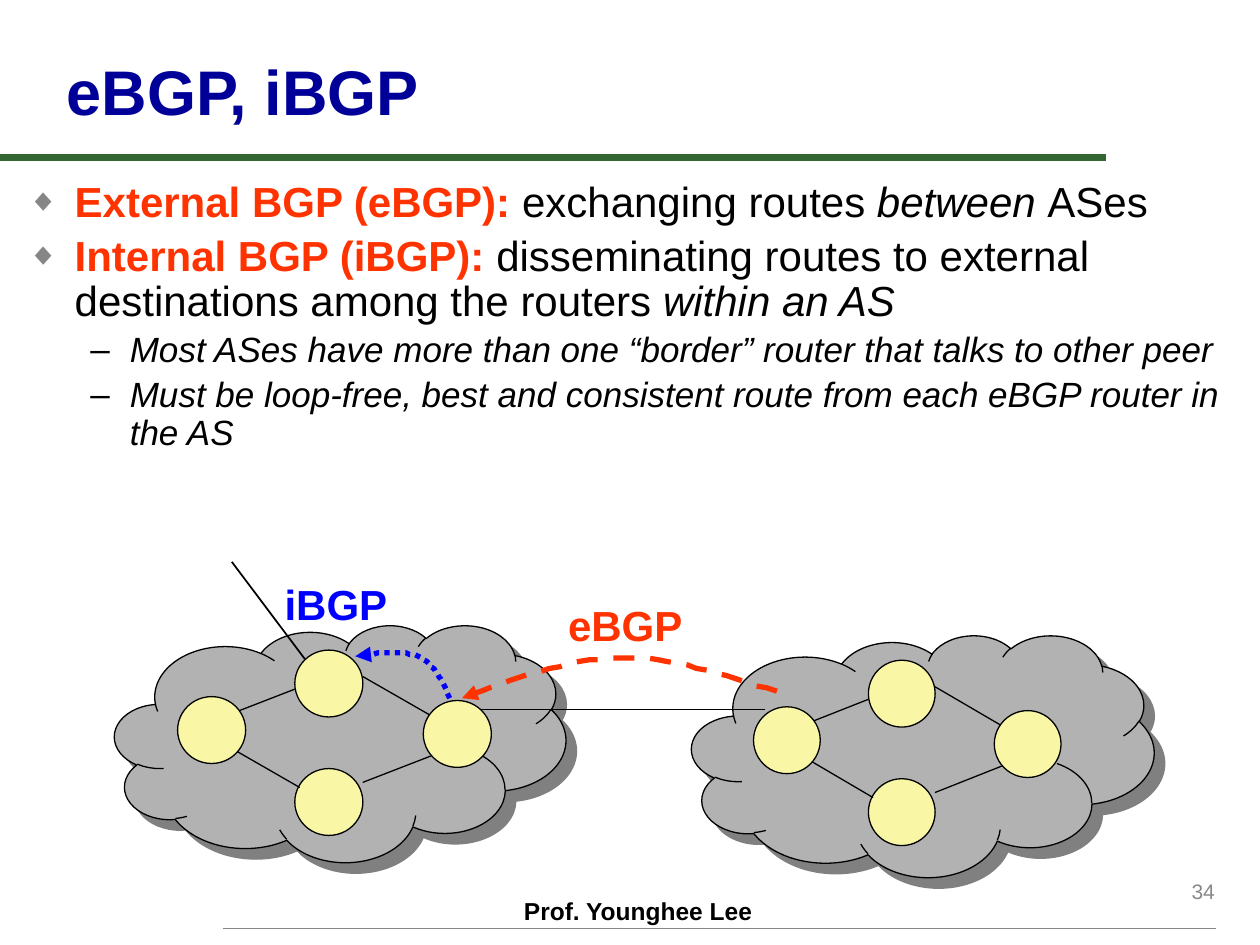
from lxml import etree
from pptx import Presentation
from pptx.dml.color import RGBColor
from pptx.enum import dml, shapes, text
from pptx.oxml import ns
from pptx.util import Pt

COLORS = dict(black="000000", navy="000099", red="FF3300", blue="0000FF",
              green="336633", rule="868686", number="898989",
              cloud="B2B2B2", shade="808080", router="F9F7A5")


def rgb(name):
    return RGBColor.from_string(COLORS[name])


def add_xml(parent, tag, **attributes):
    return etree.SubElement(parent, ns.qn(tag), attributes)


def pts(*values):
    return [Pt(round(value, 2)) for value in values]


def add_run(paragraph, words, size, color="black", bold=False, italic=False):
    run = paragraph.add_run()
    run.text = words
    font = run.font
    font.name, font.size, font.bold, font.italic = "Arial", Pt(size), bold, italic
    font.color.rgb = rgb(color)


def text_frame(slide, box, anchor=text.MSO_ANCHOR.TOP):
    frame = slide.shapes.add_textbox(*pts(*box)).text_frame
    frame.word_wrap = True
    frame.vertical_anchor = anchor
    return frame


def label(slide, box, words, size, color, bold=True,
          anchor=text.MSO_ANCHOR.TOP, align=text.PP_ALIGN.LEFT):
    paragraph = text_frame(slide, box, anchor).paragraphs[0]
    paragraph.alignment = align
    add_run(paragraph, words, size, color, bold)


def link(slide, start, end, color="black", width=0.75):
    line = slide.shapes.add_connector(shapes.MSO_CONNECTOR.STRAIGHT, *pts(*start, *end))
    line.line.color.rgb = rgb(color)
    line.line.width = Pt(width)
    add_xml(line._element.spPr, "a:effectLst")


def outlined(slide, kind, box, fill):
    shape = slide.shapes.add_shape(kind, *pts(*box))
    shape.shadow.inherit = False
    shape.fill.solid()
    shape.fill.fore_color.rgb = rgb(fill)
    shape.line.color.rgb = rgb("black")
    shape.line.width = Pt(0.75)
    return shape


def session(slide, curves, color, dash, steps=16):
    points = [curves[0][0]]
    for knots in curves:
        for step in range(1, steps + 1):
            t = step / steps
            weights = ((1 - t) ** 3, 3 * t * (1 - t) ** 2, 3 * t * t * (1 - t), t ** 3)
            points.append(tuple(sum(w * knot[axis] for w, knot in zip(weights, knots))
                                for axis in (0, 1)))
    builder = slide.shapes.build_freeform(*points[0], scale=12700)
    builder.add_line_segments(points[1:], close=False)
    arrow = builder.convert_to_shape()
    arrow.shadow.inherit = False
    arrow.fill.background()
    arrow.line.color.rgb = rgb(color)
    arrow.line.width = Pt(3)
    arrow.line.dash_style = dash
    add_xml(arrow.line._get_or_add_ln(), "a:tailEnd", type="triangle")


def network(slide, left, top, width, height, stretch=1):
    cloud = outlined(slide, shapes.MSO_SHAPE.CLOUD, (left, top, width, height), "cloud")
    effects = cloud._element.spPr.find(ns.qn("a:effectLst"))
    shadow = add_xml(effects, "a:outerShdw", dist=str(Pt(8.5)), dir="2700000",
                     algn="ctr", rotWithShape="0")
    add_xml(shadow, "a:srgbClr", val=COLORS["shade"])

    def place(x, y):
        return left + x * stretch, top + y

    def router(x, y):
        outlined(slide, shapes.MSO_SHAPE.OVAL, (*place(x, y), 38.9 * stretch, 38.2), "router")

    router(103, 14.4)
    router(103, 82.1)
    for start, end in (((64, 51.8), (103, 36.7)), ((141.8, 90), (180.7, 74.9)),
                       ((67, 70.6), (105.8, 92.9)), ((141.8, 29.5), (180.7, 51.8))):
        link(slide, place(*start), place(*end))
    router(176.4, 43.2)
    router(36, 41)


def bullets(slide, box, items):
    styles = [(24, 27, -27, "◆", "rule", 75), (20, 58.5, -22.5, "–", "black", 100)]
    frame = text_frame(slide, box)
    for index, (level, runs) in enumerate(items):
        size, margin, indent, mark, mark_color, mark_size = styles[level]
        paragraph = frame.paragraphs[0] if index == 0 else frame.add_paragraph()
        paragraph.level = level
        paragraph.line_spacing = 0.9
        paragraph.space_before = Pt(size * 0.2)
        properties = paragraph._p.get_or_add_pPr()
        properties.set("marL", str(Pt(margin)))
        properties.set("indent", str(Pt(indent)))
        add_xml(add_xml(properties, "a:buClr"), "a:srgbClr", val=COLORS[mark_color])
        add_xml(properties, "a:buSzPct", val=str(mark_size * 1000))
        add_xml(properties, "a:buFont", typeface="Arial")
        add_xml(properties, "a:buChar", char=mark)
        for words, style in runs:
            add_run(paragraph, words, size, **style)


def page_frame(slide, title, footer, number):
    link(slide, (0, 90), (632, 90), "green", 4)
    link(slide, (127.5, 530.6), (694.8, 530.6), "rule", 1)
    label(slide, (292.3, 508.3, 149.8, 23.8), footer, 14, "black")
    label(slide, (551.5, 491, 149.8, 36), number, 12, "number", False,
          text.MSO_ANCHOR.MIDDLE, text.PP_ALIGN.RIGHT)
    label(slide, (31, 25.9, 674.6, 51.1), title, 36, "navy", anchor=text.MSO_ANCHOR.BOTTOM)


def peering(slide):
    network(slide, 65.5, 357.1, 257.8, 135.4)
    network(slide, 395.3, 362.9, 264.2, 138.2, 0.98)
    link(slide, (275, 405.4), (437, 405.4))
    session(slide, [[(443.5, 395.3), (413.3, 385.2), (383, 375.1), (353.5, 375.8)],
                    [(353.5, 375.8), (323.3, 376.6), (293, 388.1), (263.5, 398.9)]],
            "red", dml.MSO_LINE.DASH)
    label(slide, (317.5, 339.1, 113.8, 36), "eBGP", 24, "red")
    session(slide, [[(257, 398.9), (252.7, 389.5), (248.4, 379.4), (239, 375.1)],
                    [(239, 375.1), (230.4, 371.5), (216.7, 373), (203, 375.1)]],
            "blue", dml.MSO_LINE.ROUND_DOT)
    label(slide, (155.5, 326.9, 113.8, 36), "iBGP", 24, "blue")
    link(slide, (174.2, 376.6), (132.5, 321.1), width=1)


term, plain, stress = dict(color="red", bold=True), {}, dict(italic=True)
points = [
    (0, [("External BGP (eBGP):", term), (" exchanging routes ", plain),
         ("between ", stress), ("ASes", plain)]),
    (0, [("Internal BGP (iBGP):", term),
         (" disseminating routes to external destinations among the routers ", plain),
         ("within an AS", stress)]),
    (1, [("Most ASes have more than one “border” router that talks to other peer", stress)]),
    (1, [("Must be loop-free, best and consistent route from each eBGP router in the AS",
          stress)]),
]

deck = Presentation()
deck.slide_width, deck.slide_height = Pt(720), Pt(540)
page = deck.slides.add_slide(deck.slide_layouts[6])
page_frame(page, "eBGP, iBGP", "Prof. Younghee Lee", "34")
bullets(page, (8.6, 100.1, 697.7, 198.7), points)
peering(page)
deck.save("out.pptx")
